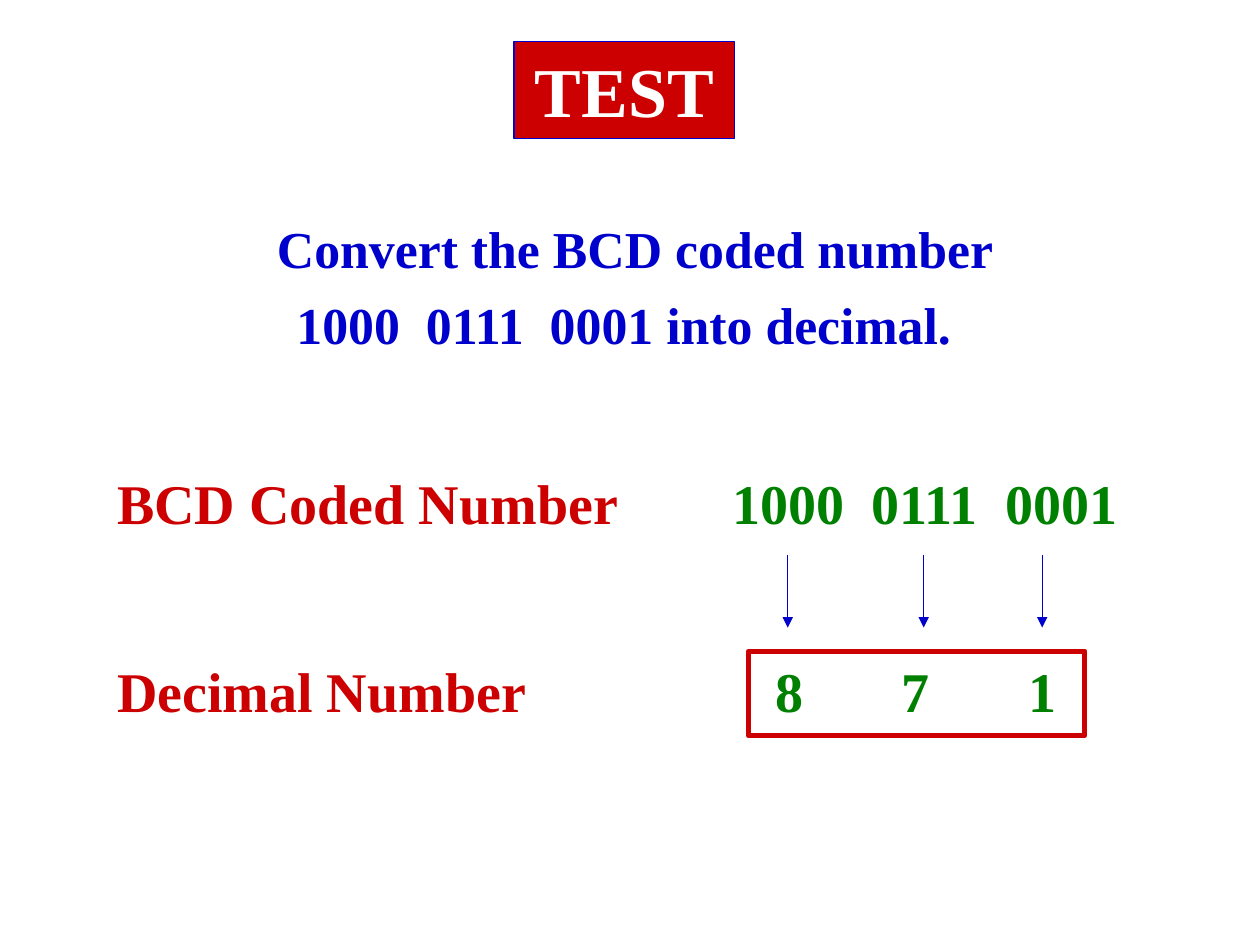
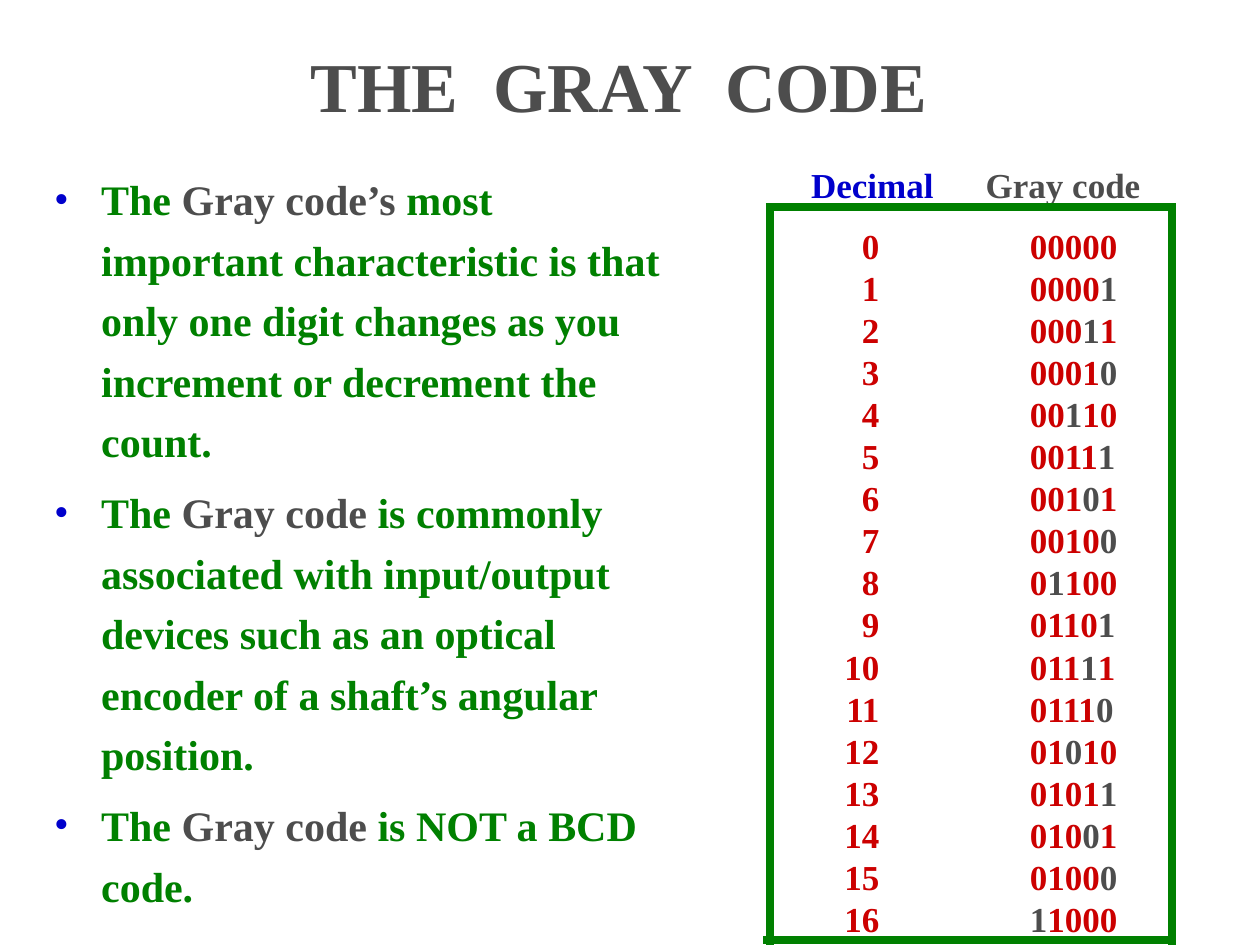
import pptx
import pptx.dml.color
import pptx.enum.shapes
import pptx.enum.text
import pptx.oxml
import pptx.oxml.ns
import pptx.util
from pptx.util import Cm

# Shared style
FONT = "Times New Roman"
BLUE, RED, GREEN, GRAY, WHITE = "0000CC", "CC0000", "008000", "4D4D4D", "FFFFFF"
LEADING = 1.2
TITLE_SIZE = 40
ALIGN = pptx.enum.text.PP_ALIGN
ANCHOR = pptx.enum.text.MSO_ANCHOR

# Content of the test slide
TEST_TITLE = "TEST"
QUESTION = ["Convert the BCD coded number", "1000  0111  0001 into decimal."]
# label, values, top, tab stops of the values
CONVERSION = [
    ("BCD Coded Number", ["1000", "0111", "0001"], 9.32, [12.41, 15.21, 17.92]),
    ("Decimal Number", ["8", "7", "1"], 13.11, [13.28, 15.82, 18.38]),
]
ARROW_CENTERS = [15.88, 18.62, 21.01]

# Content of the Gray code slide
GRAY_TITLE = "THE  GRAY  CODE"
GRAY_FACTS = [
    ("Gray code’s", " most important characteristic is that only one digit "
     "changes as you increment or decrement the count."),
    ("Gray code", " is commonly associated with input/output devices such as "
     "an optical encoder of a shaft’s angular position."),
    ("Gray code", " is NOT a BCD code."),
]
GRAY_HEADER = [("Decimal", BLUE), ("\tGray code", GRAY)]
LAST_NUMBER, BITS = 16, 5
FRAME_LINES = [
    (15.44, 4.17, 23.7, 4.17),
    (15.39, 18.95, 23.65, 18.95),
    (15.52, 4.24, 15.52, 19.05),
    (23.62, 4.24, 23.62, 19.05),
]


def color(hex_string):
    return pptx.dml.color.RGBColor.from_string(hex_string)


def append_xml(parent, xml):
    """Append an element in the drawing namespace."""
    declared = xml.replace(" ", " " + pptx.oxml.ns.nsdecls("a") + " ", 1)
    parent.append(pptx.oxml.parse_xml(declared))


def write_paragraph(paragraph, runs, *, size, align=ALIGN.LEFT, leading=LEADING,
                    before=0, tabs=(), bullet=None, right=0):
    """Fill a paragraph with (text, colour) runs; tabs are (cm, alignment)."""
    properties = paragraph._p.get_or_add_pPr()
    if right:
        properties.set("marR", str(Cm(right)))
    if bullet:
        properties.set("marL", str(Cm(0.95)))
        properties.set("indent", str(Cm(-0.95)))
        append_xml(properties, f'<a:buClr ><a:srgbClr val="{bullet}"/></a:buClr>')
        append_xml(properties, f'<a:buFont typeface="{FONT}"/>')
        append_xml(properties, '<a:buChar char="•"/>')
    if tabs:
        stops = "".join(f'<a:tab pos="{Cm(at)}" algn="{side}"/>' for at, side in tabs)
        append_xml(properties, f"<a:tabLst >{stops}</a:tabLst>")
    paragraph.alignment = align
    paragraph.line_spacing = pptx.util.Pt(round(size * leading, 2))
    paragraph.space_before = pptx.util.Pt(before)
    for text, run_color in runs:
        run = paragraph.add_run()
        run.text = text
        run.font.name = FONT
        run.font.size = pptx.util.Pt(size)
        run.font.bold = True
        run.font.color.rgb = color(run_color)


def write_text(shape, paragraphs, *, anchor=ANCHOR.TOP, **shared):
    """Write (runs, own format) paragraphs into a shape."""
    frame = shape.text_frame
    frame.word_wrap = True
    frame.vertical_anchor = anchor
    for index, (runs, own) in enumerate(paragraphs):
        paragraph = frame.add_paragraph() if index else frame.paragraphs[0]
        write_paragraph(paragraph, runs, **{**shared, **own})


def add_text(slide, box, paragraphs, **text_format):
    shape = slide.shapes.add_textbox(*map(Cm, box))
    write_text(shape, paragraphs, **text_format)


def add_box(slide, box, *, line, width, fill=None):
    shape = slide.shapes.add_shape(
        pptx.enum.shapes.MSO_SHAPE.RECTANGLE, *map(Cm, box))
    shape.shadow.inherit = False
    if fill:
        shape.fill.solid()
        shape.fill.fore_color.rgb = color(fill)
    else:
        shape.fill.background()
    shape.line.color.rgb = color(line)
    shape.line.width = pptx.util.Pt(width)
    return shape


def add_line(slide, ends, *, line, width, arrow=False):
    connector = slide.shapes.add_connector(
        pptx.enum.shapes.MSO_CONNECTOR.STRAIGHT, *map(Cm, ends))
    connector.line.color.rgb = color(line)
    connector.line.width = pptx.util.Pt(width)
    if arrow:
        append_xml(connector.line._get_or_add_ln(), '<a:tailEnd type="triangle"/>')
    append_xml(connector._element.spPr, "<a:effectLst />")


def gray_code(number):
    return format(number ^ (number >> 1), f"0{BITS}b")


def gray_row(number):
    """Runs of one row, with the digit that has just changed in gray."""
    code = gray_code(number)
    if number == 0:
        return [(f"\t{number}\t{code}", RED)]
    previous = gray_code(number - 1)
    changed = next(i for i in range(BITS) if code[i] != previous[i])
    runs = [(f"\t{number}\t{code[:changed]}", RED), (code[changed], GRAY)]
    if code[changed + 1:]:
        runs.append((code[changed + 1:], RED))
    return runs


def build_test_slide(slide):
    # Question
    add_text(slide, (4.24, 4.24, 17.15, 3.18),
             [([(QUESTION[0], BLUE)], {}),
              ([(QUESTION[1], BLUE)], {"before": 8, "right": 0.46})],
             size=29.6, align=ALIGN.CENTER)

    # Arrows from each BCD group to its digit
    for center in ARROW_CENTERS:
        add_line(slide, (center, 11.18, center, 12.65),
                 line=BLUE, width=0.75, arrow=True)

    # Title
    title = add_box(slide, (10.36, 0.84, 4.45, 1.96), line=BLUE, width=0.75, fill=RED)
    write_text(title, [([(TEST_TITLE, WHITE)], {})],
               size=TITLE_SIZE, align=ALIGN.CENTER)

    # Conversion rows
    for label, values, top, stops in CONVERSION:
        runs = [(label, RED), ("\t" + "\t".join(values), GREEN)]
        add_text(slide, (2.11, top, 22.02, 1.63), [(runs, {})],
                 size=32, tabs=[(stop, "l") for stop in stops])
    add_box(slide, (15.09, 13.13, 6.78, 1.7), line=RED, width=3)


def build_gray_slide(slide):
    # Title
    add_text(slide, (5.28, 0.64, 14.4, 2.11), [([(GRAY_TITLE, GRAY)], {})],
             size=TITLE_SIZE, align=ALIGN.CENTER, anchor=ANCHOR.MIDDLE)

    # Facts
    facts = [([("The ", GREEN), (name, GRAY), (rest, GREEN)],
              {"before": 6 if index else 0})
             for index, (name, rest) in enumerate(GRAY_FACTS)]
    add_text(slide, (0.84, 3.18, 13.13, 15.87), facts,
             size=24, leading=1.44, bullet=BLUE)

    # Code list
    rows = [(GRAY_HEADER, {"tabs": [(3.52, "l")]})]
    rows += [(gray_row(number), {"before": 0 if number else 10.8})
             for number in range(LAST_NUMBER + 1)]
    add_text(slide, (16.1, 3.18, 8.31, 15.87), rows,
             size=20, tabs=[(1.38, "r"), (4.41, "l")])

    # Frame around the list
    for ends in FRAME_LINES:
        add_line(slide, ends, line=GREEN, width=4.5)


def main():
    presentation = pptx.Presentation()
    presentation.slide_width, presentation.slide_height = Cm(25.4), Cm(19.05)
    blank = presentation.slide_layouts[6]
    for build in (build_test_slide, build_gray_slide):
        build(presentation.slides.add_slide(blank))
    presentation.save("out.pptx")


if __name__ == "__main__":
    main()
